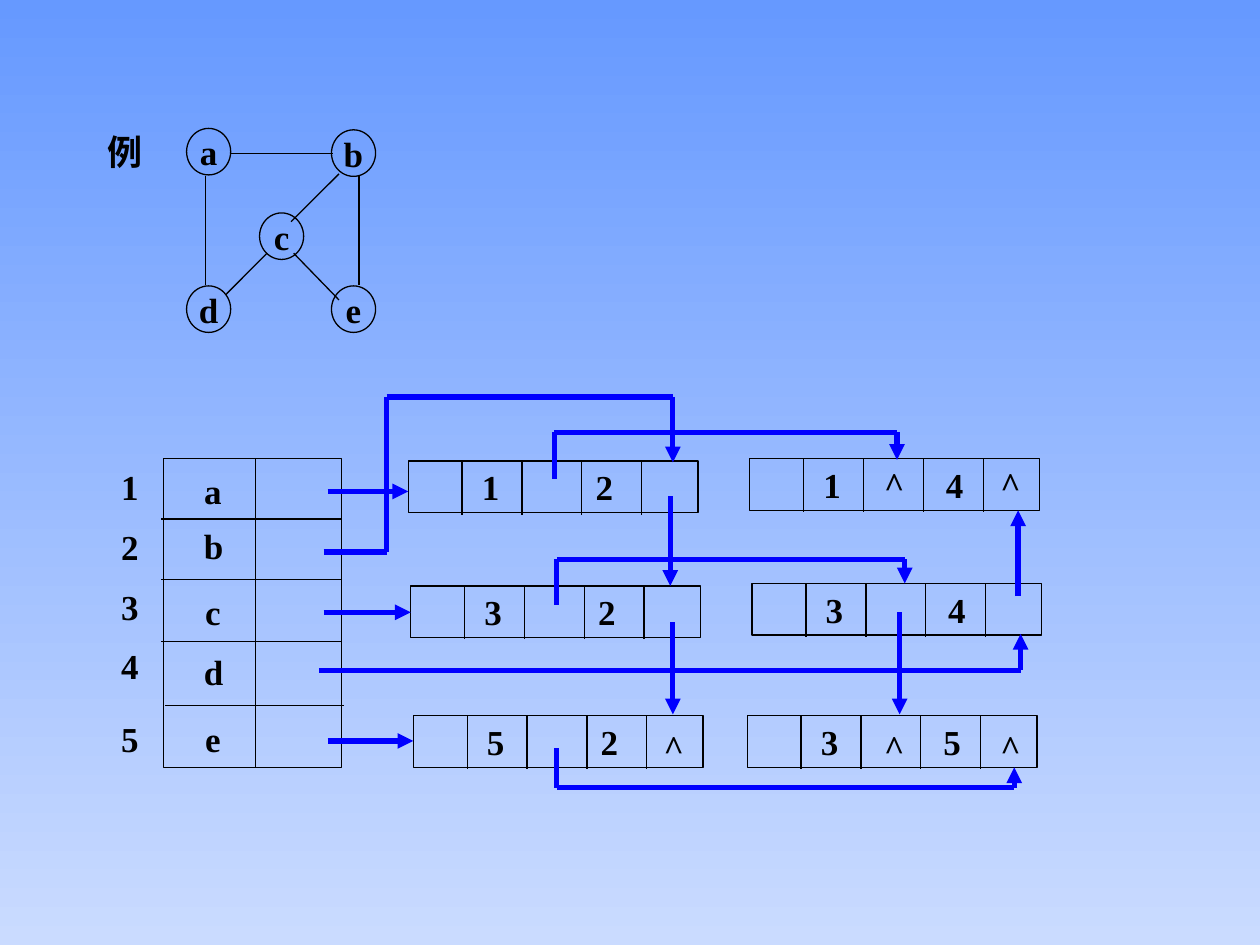
from lxml import etree
from pptx import Presentation
from pptx.dml.color import RGBColor
from pptx.enum.shapes import MSO_CONNECTOR, MSO_SHAPE
from pptx.enum.text import MSO_ANCHOR, PP_ALIGN
from pptx.oxml.ns import qn
from pptx.util import Pt

BLACK = RGBColor(0x00, 0x00, 0x00)
BLUE = RGBColor(0x00, 0x00, 0xFF)
SKY_TOP = RGBColor(0x66, 0x99, 0xFF)
SKY_BOTTOM = RGBColor(0xCA, 0xDB, 0xFF)
STRAIGHT = MSO_CONNECTOR.STRAIGHT
OVAL = MSO_SHAPE.OVAL
RECTANGLE = MSO_SHAPE.RECTANGLE
TOP, MIDDLE = MSO_ANCHOR.TOP, MSO_ANCHOR.MIDDLE
LEFT, CENTER = PP_ALIGN.LEFT, PP_ALIGN.CENTER

VERTICES = [("a", 106.6, 73.4), ("e", 189.4, 163.4), ("c", 148.3, 121.7),
            ("b", 189.4, 74.2), ("d", 106.6, 163.4)]
EDGES = [
    [(131.8, 87.8), (190.1, 87.8)],
    [(117.4, 100.8), (117.4, 162.7)],
    [(205.2, 100.8), (205.2, 162.7)],
    [(167.8, 144.7), (193.7, 171.4)],
    [(193.7, 99.4), (166.3, 126.7)],
    [(152.6, 144.7), (128.9, 168.5)],
]
ROWS = [("1", 262.1, "a", 264.2), ("2", 296.6, "b", 295.9), ("3", 330.5, "c", 333.4),
        ("4", 364.3, "d", 367.9), ("5", 406.1, "e", 406.1)]
ROW_LINES = [(92.2, 296.6), (92.2, 331.2), (92.2, 366.5), (94.3, 403.2)]
EDGE_NODES = [
    ("1", "2", 233.3, 263.5, 100),
    ("1", "4", 428.4, 262.1, 105),
    ("3", "4", 429.8, 333.4, 105),
    ("3", "2", 234.7, 334.8, 100),
    ("3", "5", 427, 409, 105),
    ("5", "2", 236.2, 409, 100),
]
POINTERS = [
    [(187.2, 280.8), (233.3, 280.8)],
    [(185, 349.9), (234.7, 349.9)],
    [(187.2, 423.4), (236.2, 423.4)],
    [(316.8, 273.6), (316.8, 247), (512.6, 247), (512.6, 262.8)],
    [(185, 315.4), (221, 315.4), (221, 226.8), (384.5, 226.8), (384.5, 264.2)],
    [(383, 283.7), (383, 334.8)],
    [(384.5, 355.7), (384.5, 408.2)],
    [(318.2, 345.6), (318.2, 319.7), (517, 319.7), (517, 333.4)],
    [(514.1, 349.9), (514.1, 408.2)],
    [(182.2, 383), (583.2, 383), (583.2, 362.2)],
    [(581.8, 340.6), (581.8, 291.6)],
    [(318.2, 427.7), (318.2, 450), (579.6, 450), (579.6, 438.5)],
]
NULL_MARKS = [(498.2, 260.6), (498.2, 411.1), (564.5, 260.6), (564.5, 411.1), (372.2, 411.1)]


def write_text(shape, text, align=CENTER, anchor=MIDDLE, wrap=False, tabs=()):
    frame = shape.text_frame
    frame.word_wrap = wrap
    frame.vertical_anchor = anchor
    paragraph = frame.paragraphs[0]
    paragraph.alignment = align
    if tabs:
        tab_list = etree.SubElement(paragraph._p.get_or_add_pPr(), qn("a:tabLst"))
        for position in tabs:
            etree.SubElement(tab_list, qn("a:tab"), pos=str(Pt(position)), algn="l")
    run = paragraph.add_run()
    run.text = text
    run.font.name = "Times New Roman"
    run.font.size = Pt(20)
    run.font.bold = True
    run.font.color.rgb = BLACK


class Diagram:
    thin = 0.75
    thick = 3

    def __init__(self, slide):
        self.slide = slide

    def background(self):
        fill = self.slide.background.fill
        fill.gradient()
        fill.gradient_angle = 270
        for stop, color, position in zip(fill.gradient_stops, (SKY_TOP, SKY_BOTTOM), (0, 1)):
            stop.color.rgb = color
            stop.position = position

    def outline(self, kind, left, top, width, height):
        shape = self.slide.shapes.add_shape(kind, Pt(left), Pt(top), Pt(width), Pt(height))
        shape.shadow.inherit = False
        shape.fill.background()
        shape.line.color.rgb = BLACK
        shape.line.width = Pt(self.thin)
        return shape

    def label(self, text, left, top, width=24.5, **text_format):
        box = self.slide.shapes.add_textbox(Pt(left), Pt(top), Pt(width), Pt(31.7))
        write_text(box, text, **text_format)

    def line(self, start, end, color=BLACK, width=thin, arrow=False):
        connector = self.slide.shapes.add_connector(
            STRAIGHT, Pt(start[0]), Pt(start[1]), Pt(end[0]), Pt(end[1]))
        connector.line.color.rgb = color
        connector.line.width = Pt(width)
        if arrow:
            etree.SubElement(connector.line._get_or_add_ln(), qn("a:tailEnd"), type="triangle")
        etree.SubElement(connector._element.spPr, qn("a:effectLst"))

    def pointer(self, points):
        for start, end in zip(points, points[1:]):
            self.line(start, end, BLUE, self.thick, arrow=end == points[-1])

    def vertex(self, name, left, top):
        write_text(self.outline(OVAL, left, top, 25.2, 26.6), name)

    def edge_node(self, first, second, left, top, second_tab):
        box = self.outline(RECTANGLE, left, top, 165.6, 29.5)
        write_text(box, f"\t{first}\t{second}", align=LEFT, wrap=True, tabs=(35, second_tab))
        for column in range(4):
            x = left + 30.8 + 34.2 * column
            self.line((x, top), (x, top + 30.6))


def main():
    presentation = Presentation()
    presentation.slide_width, presentation.slide_height = Pt(720), Pt(540)
    diagram = Diagram(presentation.slides.add_slide(presentation.slide_layouts[6]))
    diagram.background()

    diagram.label("例", 54, 70.6, width=34.6)
    for vertex in VERTICES:
        diagram.vertex(*vertex)
    for start, end in EDGES:
        diagram.line(start, end)

    diagram.outline(RECTANGLE, 93.6, 262.1, 101.5, 176.4)
    diagram.line((146.2, 262.1), (146.2, 438.5))
    for left, y in ROW_LINES:
        diagram.line((left, y), (left + 102.4, y))
    for number, number_top, name, name_top in ROWS:
        diagram.label(number, 62, number_top)
        diagram.label(name, 109.4, name_top)

    for edge_node in EDGE_NODES:
        diagram.edge_node(*edge_node)
    for points in POINTERS:
        diagram.pointer(points)
    for left, top in NULL_MARKS:
        diagram.label("^", left, top, width=26, align=LEFT, anchor=TOP)

    presentation.save("out.pptx")


if __name__ == "__main__":
    main()
